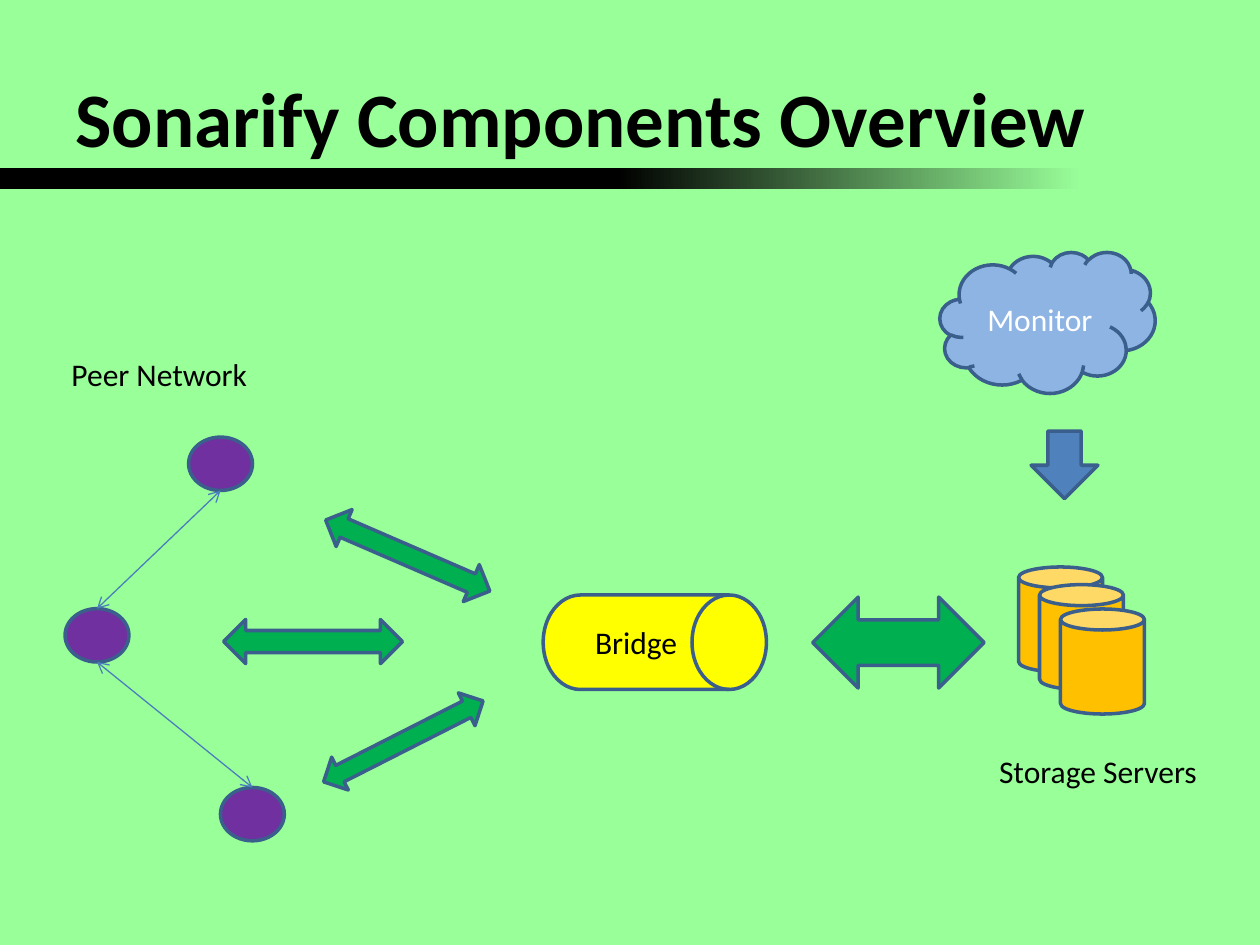
import pptx
import pptx.util
import pptx.dml.color
import pptx.enum.shapes
import pptx.enum.text
import pptx.oxml
import pptx.oxml.ns

Pt = pptx.util.Pt
SHAPE = pptx.enum.shapes.MSO_SHAPE
ALIGN = pptx.enum.text.PP_ALIGN
ANCHOR = pptx.enum.text.MSO_ANCHOR

FONT = "Calibri"
BACKGROUND, OUTLINE, LINK = "99FF99", "3A5F8C", "4B7EBC"
PURPLE, GREEN, ORANGE = "7030A0", "00B050", "FFC000"

TITLE = "Sonarify Components Overview"
LABELS = [("Peer Network", 33.8, 199.4, 116), ("Storage Servers", 563.8, 426.2, 129)]

PEER_W, PEER_H = 36.5, 30.5
PEERS = {"top": (107.8, 249.8), "left": (37.2, 347.8), "bottom": (126, 450)}
LINKS = [("top", "left"), ("left", "bottom")]

SERVER_W, SERVER_H = 48, 60
SERVERS = [(582, 324), (594, 334.1), (606, 348)]

ARROWS = [
    (SHAPE.LEFT_RIGHT_ARROW, 464.4, 341.2, 98, 52, 0, GREEN),
    (SHAPE.DOWN_ARROW, 589.2, 246.4, 38.2, 38.6, 0, "4F81BD"),
    (SHAPE.LEFT_RIGHT_ARROW, 181.9, 306, 102.2, 23, 23.4, GREEN),
    (SHAPE.LEFT_RIGHT_ARROW, 127.8, 354, 102.2, 25.2, 0, GREEN),
    (SHAPE.LEFT_RIGHT_ARROW, 179.4, 413.2, 102.2, 21, 333.1, GREEN),
]
NODES = [
    (SHAPE.CLOUD, 537.1, 144, 123, 80.6, "8EB4E3", "Monitor", "FFFFFF"),
    (SHAPE.FLOWCHART_DIRECT_ACCESS_STORAGE, 310.4, 340, 127.6, 54, "FFFF00", "Bridge", "000000"),
]


def rgb(value):
    return pptx.dml.color.RGBColor.from_string(value)


def write(tf, text, size=18, color="000000", align=ALIGN.LEFT, bold=False):
    tf.text = text
    p = tf.paragraphs[0]
    p.alignment = align
    p.font.name = FONT
    p.font.size = Pt(size)
    p.font.bold = bold
    p.font.color.rgb = rgb(color)


def add_shape(kind, x, y, w, h, fill, rotation=0):
    sp = slide.shapes.add_shape(kind, Pt(x), Pt(y), Pt(w), Pt(h))
    sp.shadow.inherit = False
    sp.rotation = rotation
    sp.fill.solid()
    sp.fill.fore_color.rgb = rgb(fill)
    sp.line.color.rgb = rgb(OUTLINE)
    sp.line.width = Pt(2)
    return sp


def add_link(start, end):
    (x1, y1), (x2, y2) = PEERS[start], PEERS[end]
    half = PEER_W / 2
    c = slide.shapes.add_connector(
        pptx.enum.shapes.MSO_CONNECTOR.STRAIGHT,
        Pt(x1 + half), Pt(y1 + PEER_H), Pt(x2 + half), Pt(y2))
    c.line.color.rgb = rgb(LINK)
    c.line.width = Pt(0.75)
    ln = c.line._get_or_add_ln()
    for tag in ("a:headEnd", "a:tailEnd"):
        end_mark = pptx.oxml.parse_xml(f"<{tag} {pptx.oxml.ns.nsdecls('a')} type='arrow'/>")
        ln.append(end_mark)
    c._element.spPr.append(
        pptx.oxml.parse_xml(f"<a:effectLst {pptx.oxml.ns.nsdecls('a')}/>"))


prs = pptx.Presentation()
prs.slide_width, prs.slide_height = Pt(720), Pt(540)
slide = prs.slides.add_slide(prs.slide_layouts[5])
slide.background.fill.solid()
slide.background.fill.fore_color.rgb = rgb(BACKGROUND)

title = slide.shapes.title
title.left, title.top, title.width, title.height = Pt(36), Pt(21.6), Pt(648), Pt(90)
title.text_frame.vertical_anchor = ANCHOR.MIDDLE
write(title.text_frame, TITLE, size=44, bold=True)

bar = add_shape(SHAPE.RECTANGLE, 0, 96, 618, 12, "000000")
bar.line.fill.background()
bar.fill.gradient()
bar.fill.gradient_angle = 0
for stop, (position, color) in zip(bar.fill.gradient_stops, [(0.57, "000000"), (1, BACKGROUND)]):
    stop.position = position
    stop.color.rgb = rgb(color)

for x, y in SERVERS:
    add_shape(SHAPE.CAN, x, y, SERVER_W, SERVER_H, ORANGE)
for x, y in PEERS.values():
    add_shape(SHAPE.OVAL, x, y, PEER_W, PEER_H, PURPLE)
for start, end in LINKS:
    add_link(start, end)
for kind, x, y, w, h, rotation, fill in ARROWS:
    add_shape(kind, x, y, w, h, fill, rotation)
for kind, x, y, w, h, fill, text, color in NODES:
    tf = add_shape(kind, x, y, w, h, fill).text_frame
    tf.vertical_anchor = ANCHOR.MIDDLE
    write(tf, text, color=color, align=ALIGN.CENTER)
for text, x, y, w in LABELS:
    tf = slide.shapes.add_textbox(Pt(x), Pt(y), Pt(w), Pt(29)).text_frame
    tf.word_wrap = False
    tf.auto_size = pptx.enum.text.MSO_AUTO_SIZE.SHAPE_TO_FIT_TEXT
    write(tf, text)

prs.save("out.pptx")
